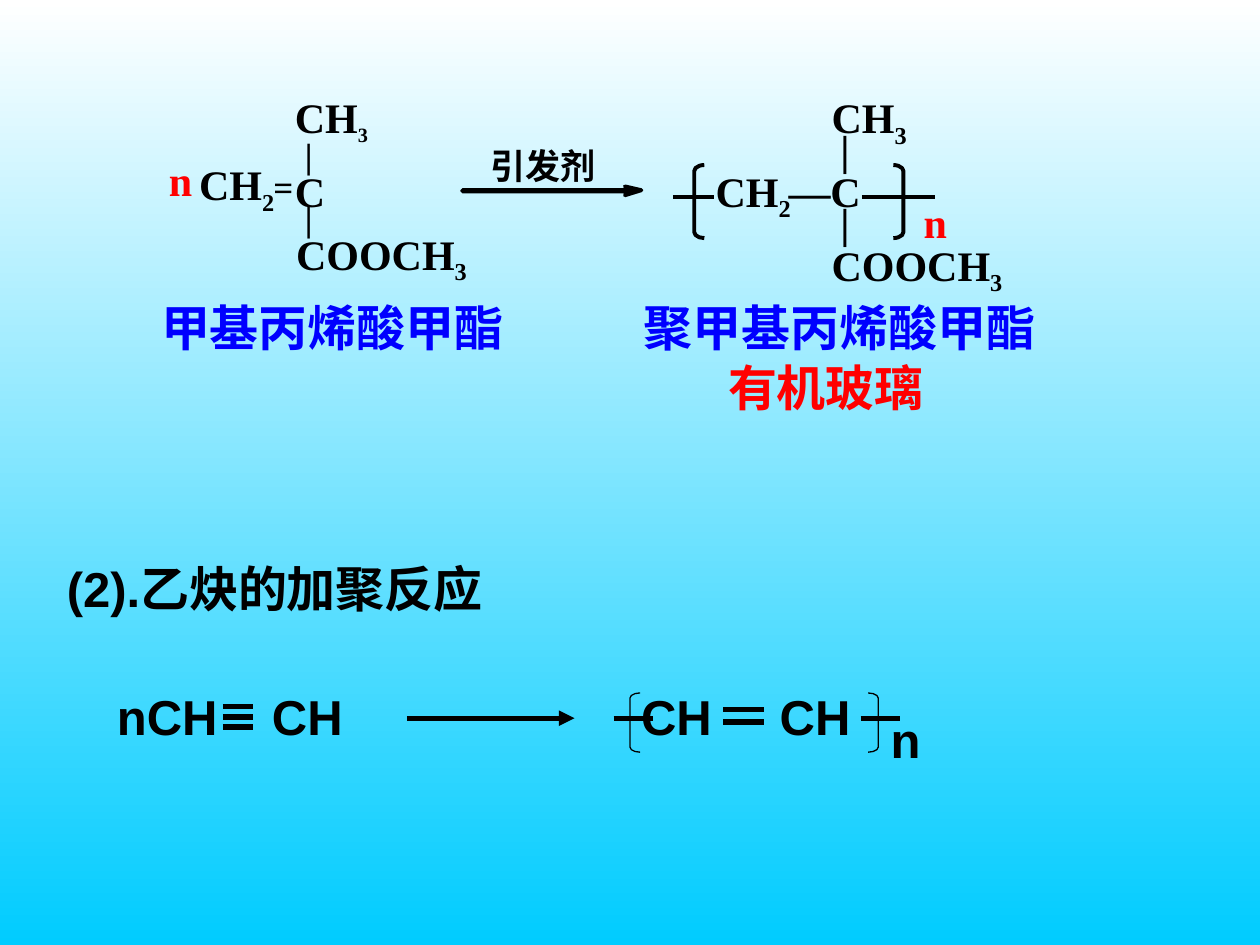
from dataclasses import dataclass

from lxml import etree
from pptx import Presentation
from pptx.dml.color import RGBColor
from pptx.enum.shapes import MSO_CONNECTOR, MSO_SHAPE
from pptx.enum.text import MSO_ANCHOR, MSO_AUTO_SIZE, PP_ALIGN
from pptx.oxml.ns import qn
from pptx.util import Pt

PX = 9144  # EMU per px, 100 px to the inch
STRAIGHT = MSO_CONNECTOR.STRAIGHT
LEFT_BRACKET, RIGHT_BRACKET = MSO_SHAPE.LEFT_BRACKET, MSO_SHAPE.RIGHT_BRACKET
GROW = MSO_AUTO_SIZE.SHAPE_TO_FIT_TEXT
TOP, LEFT = MSO_ANCHOR.TOP, PP_ALIGN.LEFT


@dataclass(frozen=True)
class Theme:
    black: RGBColor = RGBColor(0, 0, 0)
    red: RGBColor = RGBColor(255, 0, 0)
    blue: RGBColor = RGBColor(0, 0, 255)
    sky: RGBColor = RGBColor(0, 0xCC, 255)
    white: RGBColor = RGBColor(255, 255, 255)
    serif: str = "Times New Roman"
    sans: str = "Arial"
    small: int = 20
    formula: int = 24
    large: int = 28
    hairline: float = 0.75
    medium: float = 2.25
    thick: float = 3


T = Theme()


@dataclass(frozen=True)
class Label:
    x: int
    y: int
    w: int
    h: int
    text: str
    sub: str = ""
    size: int = T.formula
    sub_size: int = T.formula
    color: RGBColor = T.black
    font: str = T.serif
    inset: tuple[int, int] = (0, 0)
    tabs: tuple[int, ...] = ()


@dataclass(frozen=True)
class Line:
    x1: int
    x2: int
    y: int
    width: float = T.thick
    arrow: bool = False


@dataclass(frozen=True)
class Bracket:
    kind: MSO_SHAPE
    x: int
    y: int
    h: int
    width: float
    curve: float


PAD = (10, 5)

# Monomer, condition over the arrow, polymer
FORMULA = [
    Label(234, 73, 64, 44, "CH", "3", sub_size=T.small),
    Label(242, 106, 6, 33, "|", size=T.small),
    Label(134, 123, 19, 40, "n", color=T.red),
    Label(158, 126, 60, 46, "CH", "2"),
    Label(217, 131, 16, 33, "=", size=T.small),
    Label(234, 131, 24, 40, "C"),
    Label(242, 156, 6, 33, "|", size=T.small),
    Label(235, 181, 136, 46, "COOCH", "3"),
    Label(389, 115, 84, 33, "引发剂", size=T.small),
    Label(660, 73, 60, 46, "CH", "3"),
    Label(667, 98, 7, 40, "|"),
    Label(568, 131, 60, 46, "CH", "2"),
    Label(626, 131, 60, 40, "—"),
    Label(659, 131, 24, 40, "C"),
    Label(667, 156, 7, 40, "|"),
    Label(660, 190, 136, 46, "COOCH", "3"),
    Label(733, 156, 19, 40, "n", color=T.red),
]
NAMES = [
    Label(118, 231, 296, 57, "甲基丙烯酸甲酯", size=T.large, color=T.blue, inset=PAD),
    Label(501, 231, 336, 57, "聚甲基丙烯酸甲酯", size=T.large, color=T.blue, inset=PAD),
    Label(568, 279, 178, 57, "有机玻璃", size=T.large, color=T.red, inset=PAD),
]
HEADING = Label(43, 438, 378, 57, "(2).乙炔的加聚反应",
                size=T.large, font=T.sans, inset=PAD)
ACETYLENE = [
    Label(83, 540, 772, 57, "nCH\tCH\tCH\tCH", size=T.large, font=T.sans,
          inset=PAD, tabs=(123, 416, 526)),
    Label(697, 558, 47, 57, "n", size=T.large, font=T.sans, inset=PAD),
]
LINES = [
    Line(534, 567, 156, T.medium),
    Line(684, 742, 156, T.medium),
    *[Line(177, 201, y) for y in (561, 569, 577)],  # triple bond
    *[Line(574, 606, y) for y in (563, 573)],  # double bond
    Line(487, 518, 570),
    Line(683, 714, 570),
    Line(323, 456, 570, arrow=True),
]
BRACKETS = [
    Bracket(LEFT_BRACKET, 551, 131, 58, T.medium, 0.6),
    Bracket(RIGHT_BRACKET, 709, 131, 58, T.medium, 0.6),
    Bracket(LEFT_BRACKET, 500, 550, 47, T.hairline, 0.5),
    Bracket(RIGHT_BRACKET, 689, 550, 47, T.hairline, 0.5),
]
INITIATOR_ARROW = [(496, 148), (499, 151), (367, 151), (367, 152),
                   (499, 152), (496, 155), (509, 151)]


def write(sp, label: Label) -> None:
    """Place a shape and fill it with the label's text."""
    sp.left, sp.top, sp.width, sp.height = (
        v * PX for v in (label.x, label.y, label.w, label.h))
    tf = sp.text_frame
    tf.auto_size, tf.word_wrap, tf.vertical_anchor = GROW, False, TOP
    tf.margin_left = tf.margin_right = label.inset[0] * PX
    tf.margin_top = tf.margin_bottom = label.inset[1] * PX
    p = tf.paragraphs[0]
    p.alignment = LEFT
    if label.tabs:
        tab_list = etree.SubElement(p._p.get_or_add_pPr(), qn("a:tabLst"))
        for pos in label.tabs:
            etree.SubElement(tab_list, qn("a:tab"), pos=str(pos * PX), algn="l")
    p.font.name, p.font.size, p.font.bold = label.font, Pt(label.size), True
    p.font.color.rgb = label.color
    p.add_run().text = label.text
    if label.sub:
        r = p.add_run()
        r.text = label.sub
        if label.sub_size != label.size:
            r.font.size = Pt(label.sub_size)
        r._r.get_or_add_rPr().set("baseline", "-25000")


def draw_label(shapes, label: Label) -> None:
    write(shapes.add_textbox(0, 0, 0, 0), label)


def draw_line(shapes, line: Line) -> None:
    c = shapes.add_connector(STRAIGHT, line.x1 * PX, line.y * PX,
                             line.x2 * PX, line.y * PX)
    c.line.color.rgb, c.line.width = T.black, Pt(line.width)
    if line.arrow:
        etree.SubElement(c.line._get_or_add_ln(), qn("a:tailEnd"), type="triangle")
    etree.SubElement(c._element.spPr, qn("a:effectLst"))


def draw_bracket(shapes, b: Bracket) -> None:
    sp = shapes.add_shape(b.kind, b.x * PX, b.y * PX, 8 * PX, b.h * PX)
    sp.adjustments[0] = b.curve
    sp.fill.background()
    sp.line.color.rgb, sp.line.width = T.black, Pt(b.width)
    sp.shadow.inherit = False


def draw_outline(shapes, points: list[tuple[int, int]]) -> None:
    builder = shapes.build_freeform(*points[0], scale=PX)
    builder.add_line_segments(points[1:], close=True)
    sp = builder.convert_to_shape()
    sp.fill.solid()
    sp.fill.fore_color.rgb = sp.line.color.rgb = T.black
    sp.line.width = Pt(T.medium)
    sp.shadow.inherit = False


def main() -> None:
    prs = Presentation()
    prs.slide_width, prs.slide_height = 1000 * PX, 750 * PX
    s = prs.slides.add_slide(prs.slide_layouts[5])

    # Background: white at the top to sky blue
    fill = s.background.fill
    fill.gradient()
    fill.gradient_angle = 270
    for stop, color in zip(fill.gradient_stops, (T.white, T.sky)):
        stop.color.rgb = color

    # Heading, formulas and names
    write(s.shapes.title, HEADING)
    for label in FORMULA + NAMES + ACETYLENE:
        draw_label(s.shapes, label)

    # Arrows, bonds and brackets
    draw_outline(s.shapes, INITIATOR_ARROW)
    for line in LINES:
        draw_line(s.shapes, line)
    for bracket in BRACKETS:
        draw_bracket(s.shapes, bracket)

    prs.save("out.pptx")


if __name__ == "__main__":
    main()
